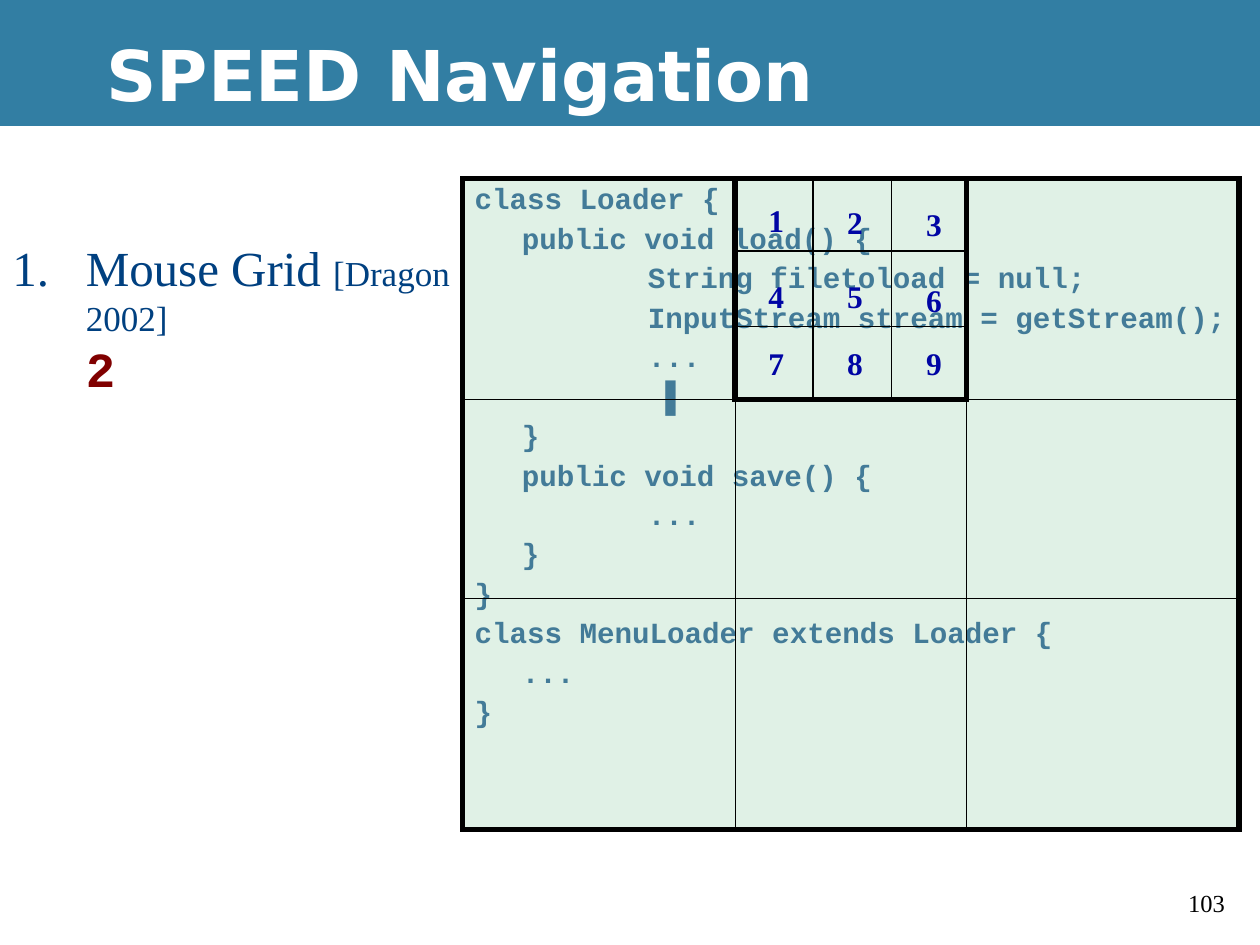
from lxml import etree
from pptx import Presentation
from pptx import util as u
from pptx.dml.color import RGBColor
from pptx.enum import shapes, text
from pptx.oxml import ns

COLOURS = {
    "black": "000000", "white": "FFFFFF", "banner": "327EA3",
    "editor": "E3EBF1", "overlay": "DAFFCE", "navy": "004080",
    "maroon": "800000", "digit": "0005A4",
}
SERIF, MONO = "Times New Roman", "Courier New"
CODE_INDENTS = (0, 0.95, 3.49)
CODE = """class Loader {
\tpublic void load() {
\t\tString filetoload = null;
\t\tInputStream stream = getStream();
\t\t...
\t\t ▌
\t}
\tpublic void save() {
\t\t...
\t}
}
class MenuLoader extends Loader {
\t...
}"""


def colour(name):
    return RGBColor.from_string(COLOURS[name])


def add_child(parent, tag, **attributes):
    child = etree.SubElement(parent, ns.qn(tag))
    for key, value in attributes.items():
        child.set(key, str(value))
    return child


def add_box(slide, box, fill=None, line=None, width=0.75, alpha=None):
    """Add a rectangle; alpha is its opacity in percent."""
    shape = slide.shapes.add_shape(
        shapes.MSO_SHAPE.RECTANGLE, *(u.Cm(value) for value in box))
    shape.shadow.inherit = False
    if fill:
        shape.fill.solid()
        shape.fill.fore_color.rgb = colour(fill)
        if alpha:
            tint = shape.fill._xPr.find(".//" + ns.qn("a:srgbClr"))
            add_child(tint, "a:alpha", val=alpha * 1000)
    else:
        shape.fill.background()
    if line:
        shape.line.color.rgb = colour(line)
        shape.line.width = u.Pt(width)
        add_child(shape.line._get_or_add_ln(), "a:miter", lim=800000)
    else:
        shape.line.fill.background()
    return shape


def add_line(slide, x1, y1, x2, y2):
    line = slide.shapes.add_connector(
        shapes.MSO_CONNECTOR.STRAIGHT, *(u.Cm(value) for value in (x1, y1, x2, y2)))
    line.line.color.rgb = colour("black")
    line.line.width = u.Pt(0.75)
    add_child(line._element.spPr, "a:effectLst")


def add_text_box(slide, box):
    return slide.shapes.add_textbox(*(u.Cm(value) for value in box))


def write(shape, content, size, font, ink, bold=False, paragraph=None, wrap=True,
          anchor=text.MSO_ANCHOR.TOP):
    """Write a run into the given paragraph, or into the shape's first one."""
    frame = shape.text_frame
    frame.word_wrap = wrap
    frame.vertical_anchor = anchor
    paragraph = paragraph or frame.paragraphs[0]
    paragraph.alignment = text.PP_ALIGN.LEFT
    run = paragraph.add_run()
    run.text = content
    run.font.size = u.Pt(size)
    run.font.name = font
    run.font.bold = bold
    run.font.color.rgb = colour(ink)
    return paragraph


def set_indent(paragraph, left, first=0):
    properties = paragraph._p.get_or_add_pPr()
    properties.set("marL", str(u.Cm(left)))
    properties.set("indent", str(u.Cm(first)))
    return properties


def number_paragraph(paragraph, indent):
    properties = set_indent(paragraph, indent, -indent)
    bullet_colour = add_child(properties, "a:buClr")
    add_child(bullet_colour, "a:srgbClr", val=COLOURS["navy"])
    add_child(properties, "a:buAutoNum", type="arabicPeriod")


def draw_banner(slide, box):
    left, top, width, height = box
    add_box(slide, box, fill="banner")
    title = add_text_box(slide, (left + 1.9, top + 0.21, width - 1.9, height))
    write(title, "SPEED Navigation", 40, "DejaVu Sans", "white", bold=True,
          anchor=text.MSO_ANCHOR.MIDDLE)


def draw_techniques(slide, box):
    shape = add_text_box(slide, box)
    paragraph = write(shape, "Mouse Grid ", 28, SERIF, "navy")
    number_paragraph(paragraph, 1.48)
    write(shape, "[Dragon 2002]", 20, SERIF, "navy", paragraph=paragraph)
    paragraph.add_line_break()
    write(shape, "2", 28, MONO, "maroon", bold=True, paragraph=paragraph)


def draw_editor(slide, box):
    shape = add_box(slide, box, fill="editor", line="black")
    frame = shape.text_frame
    for index, code_line in enumerate(CODE.split("\n")):
        paragraph = frame.add_paragraph() if index else frame.paragraphs[0]
        set_indent(paragraph, CODE_INDENTS[code_line.count("\t")])
        paragraph.line_spacing = 0.9
        if index:
            paragraph.space_before = u.Pt(4.5)
        before, cursor, _ = code_line.lstrip("\t").partition("▌")
        write(shape, before, 16.7, MONO, "navy", bold=True, paragraph=paragraph,)
        if cursor:
            write(shape, cursor, 16.7, "Arial", "navy", bold=True, paragraph=paragraph)


def draw_mouse_grid(slide, box, columns, rows, **fill):
    """Draw a framed grid cut at the given offsets; return its top middle cell."""
    left, top, width, height = box
    add_box(slide, box, line="black", width=3, **fill)
    for x in columns:
        add_line(slide, left + x, top, left + x, top + height)
    for y in rows:
        add_line(slide, left, top + y, left + width, top + y)
    return left + columns[0], top, columns[1] - columns[0], rows[0]


def draw_cell_numbers(slide, box):
    left, top = box[:2]
    drops = {2: 0.05, 3: 0.08, 6: 0.08}
    for row, y in enumerate((0.32, 1.87, 3.21)):
        for column in range(3):
            number = 3 * row + column + 1
            cell = (left + 0.42 + 1.59 * column, top + y + drops.get(number, 0), 0.83, 1.02)
            write(add_text_box(slide, cell), str(number), 18, SERIF, "digit",
                  bold=True, wrap=False)


def main():
    presentation = Presentation()
    presentation.slide_width, presentation.slide_height = u.Cm(25.4), u.Cm(19.05)
    slide = presentation.slides.add_slide(presentation.slide_layouts[6])
    slide.background.fill.solid()
    slide.background.fill.fore_color.rgb = colour("black")
    add_box(slide, (0, 2.54, 25.4, 16.51), fill="white")
    draw_banner(slide, (0, 0, 25.4, 2.54))
    write(add_text_box(slide, (23.7, 17.78, 1.27, 0.86)), "103", 14, SERIF, "black",
          wrap=False)

    editor = (9.32, 3.6, 15.66, 13.12)
    draw_editor(slide, editor)
    draw_techniques(slide, (0, 4.66, 9.74, 12.28))
    cell = draw_mouse_grid(slide, editor, (5.5, 10.16), (4.45, 8.47),
                           fill="overlay", alpha=31)
    draw_mouse_grid(slide, cell, (1.57, 3.15), (1.46, 2.98))
    draw_cell_numbers(slide, cell)
    presentation.save("out.pptx")


if __name__ == "__main__":
    main()
